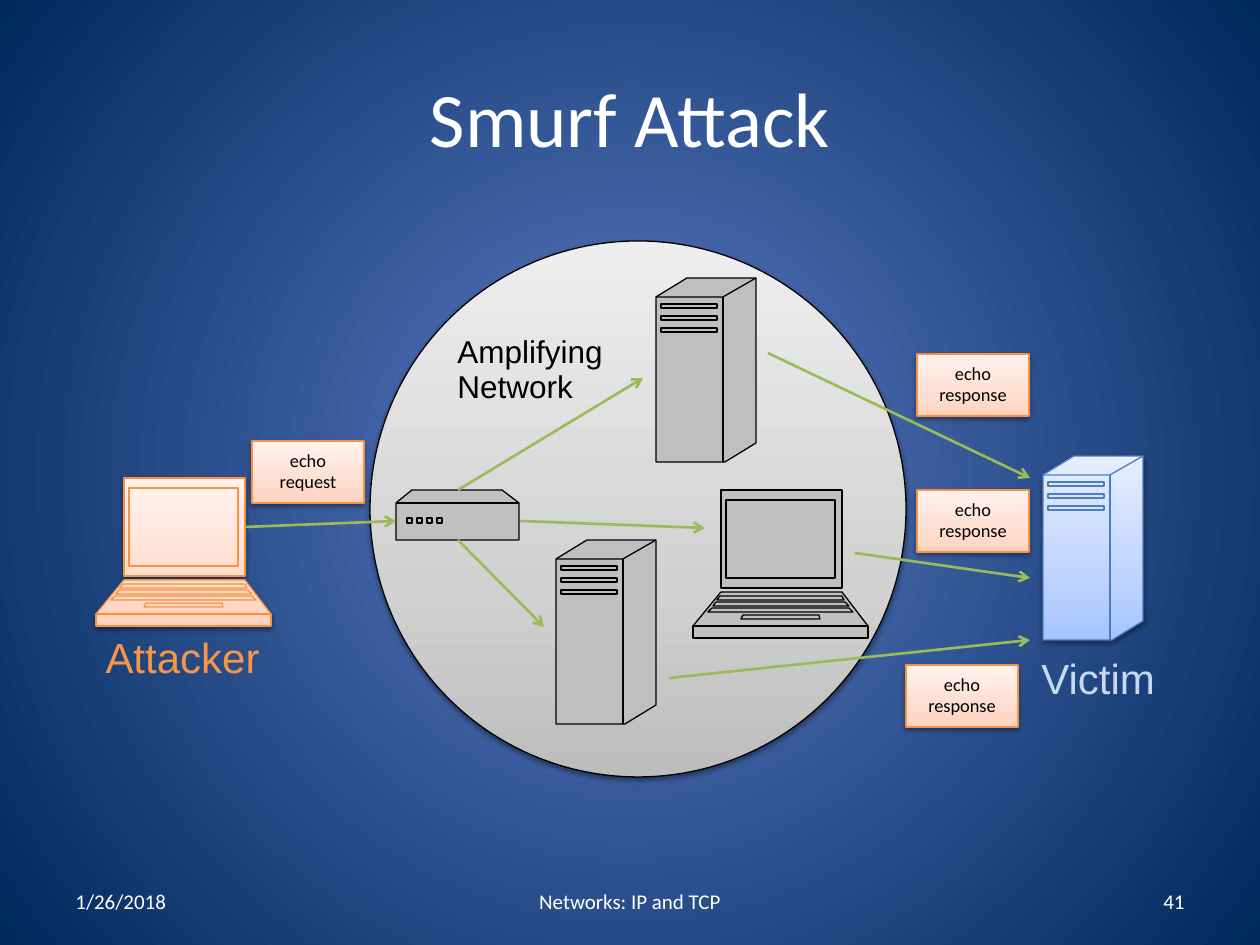
from lxml.etree import SubElement
from pptx import Presentation
from pptx.dml.color import RGBColor
from pptx.enum.shapes import MSO_CONNECTOR, MSO_SHAPE
from pptx.enum.text import MSO_ANCHOR, MSO_AUTO_SIZE, PP_ALIGN
from pptx.oxml.ns import qn
from pptx.util import Pt

PX = 914400 / 126
COLORS = {
    "white": "FFFFFF", "black": "000000", "gray": "C0C0C0", "tower": "BFBFBF",
    "orange": "F69240", "attacker": "F79646", "blue": "4B7EBC",
    "victim": "C6D9F1", "green": "9BBB59",
}
GRADIENTS = {
    "background": [(0, "5E7CC5"), (100, "00295C")],
    "network": [(0, "BDBDBD"), (35, "D1D1D1"), (100, "EEEEEE")],
    "peach": [(0, "FFD2BD"), (35, "FFDED0"), (100, "FFF2ED")],
    "sky": [(0, "A4C4FF"), (35, "BFD4FF"), (100, "E6EEFF")],
}


def emu(*lengths):
    return [round(v * PX) for v in lengths]


def rgb(name):
    return RGBColor.from_string(COLORS[name])


def set_stops(grad, name):
    stops = grad.find(qn("a:gsLst"))
    for gs in list(stops):
        stops.remove(gs)
    for pos, color in GRADIENTS[name]:
        gs = SubElement(stops, qn("a:gs"), pos=str(pos * 1000))
        SubElement(gs, qn("a:srgbClr"), val=color)


def set_background(s):
    s.background.fill.gradient()
    grad = next(s._element.iter(qn("a:gradFill")))
    set_stops(grad, "background")
    grad.remove(grad.find(qn("a:lin")))
    path = SubElement(grad, qn("a:path"))
    path.set("path", "circle")
    SubElement(path, qn("a:fillToRect"), l="50000", t="50000", r="50000", b="50000")


def style(shape, fill, line):
    shape.shadow.inherit = False
    shape.line.color.rgb = rgb(line)
    shape.line.width = Pt(0.75)
    if fill in COLORS:
        shape.fill.solid()
        shape.fill.fore_color.rgb = rgb(fill)
        return
    shape.fill.gradient()
    shape.fill.gradient_angle = 90
    sp_pr = shape._element.spPr
    set_stops(sp_pr.find(qn("a:gradFill")), fill)
    shadow = SubElement(sp_pr.find(qn("a:effectLst")), qn("a:outerShdw"),
                        blurRad=str(Pt(3.1)), dist=str(Pt(1.6)),
                        dir="5400000", rotWithShape="0")
    color = SubElement(shadow, qn("a:srgbClr"), val=COLORS["black"])
    SubElement(color, qn("a:alpha"), val="38000")


def write(tf, lines, size, color, font="Calibri", align=PP_ALIGN.LEFT, spacing=None):
    for i, line in enumerate(lines):
        p = tf.paragraphs[0] if i == 0 else tf.add_paragraph()
        p.alignment = align
        p.line_spacing = spacing
        for j, part in enumerate(line.split("\n")):
            if j:
                p.add_line_break()
            r = p.add_run()
            r.text = part
            r.font.size = Pt(size)
            r.font.name = font
            r.font.color.rgb = rgb(color)


def add_text(s, box, lines, size, color, align=PP_ALIGN.LEFT):
    tf = s.shapes.add_textbox(*emu(*box)).text_frame
    tf.word_wrap = True
    tf.vertical_anchor = MSO_ANCHOR.MIDDLE
    write(tf, lines, size, color, align=align)


def add_label(s, box, lines, size, color, align=PP_ALIGN.LEFT, wrap=False):
    tf = s.shapes.add_textbox(*emu(*box)).text_frame
    tf.word_wrap = wrap
    tf.auto_size = MSO_AUTO_SIZE.SHAPE_TO_FIT_TEXT
    write(tf, lines, size, color, "Arial", align, 0.93)


def add_packet(s, left, top, text):
    sp = s.shapes.add_shape(MSO_SHAPE.RECTANGLE, *emu(left, top, 112, 62))
    style(sp, "peach", "orange")
    tf = sp.text_frame
    tf.word_wrap = True
    tf.vertical_anchor = MSO_ANCHOR.MIDDLE
    write(tf, [text], 10.5, "black", align=PP_ALIGN.CENTER, spacing=0.93)


def add_arrow(s, *ends):
    c = s.shapes.add_connector(MSO_CONNECTOR.STRAIGHT, *emu(*ends))
    c.line.color.rgb = rgb("green")
    c.line.width = Pt(1.5)
    SubElement(c.line._get_or_add_ln(), qn("a:tailEnd"), type="arrow")
    SubElement(c._element.spPr, qn("a:effectLst"))


def box_outline(x1, y1, x2, y2):
    return [(x1, y1), (x2, y1), (x2, y2), (x1, y2)]


def add_device(s, left, top, bodies, outlines, edges, fill, line):
    parts = ([(points, True) for points in bodies + outlines]
             + [(points, False) for points in edges])
    builder = s.shapes.build_freeform(*parts[0][0][0], scale=PX)
    for i, (points, closed) in enumerate(parts):
        if i:
            builder.move_to(*points[0])
        builder.add_line_segments(points[1:], close=closed)
    sp = builder.convert_to_shape(*emu(left, top))
    whole = next(sp._element.iter(qn("a:path")))
    holder = whole.getparent()
    index = -1
    for step in list(whole):
        if step.tag == qn("a:moveTo"):
            index += 1
            part = SubElement(holder, qn("a:path"), w=whole.get("w"), h=whole.get("h"))
            if index >= len(bodies):
                part.set("fill", "none")
        part.append(step)
    holder.remove(whole)
    style(sp, fill, line)


def add_tower(s, left, top, fill, line):
    body = [(0, 19), (31, 0), (100, 0), (100, 165), (69, 184), (0, 184)]
    slots = [box_outline(5, y, 61, y + 4) for y in (26, 38, 50)]
    edges = [[(0, 19), (67, 19), (100, 0)], [(67, 19), (67, 184)]]
    add_device(s, left, top, [body], slots, edges, fill, line)


def add_laptop(s, left, top, fill, line):
    bodies = [
        box_outline(28, 0, 149, 98),
        [(28, 102), (0, 136), (175, 136), (149, 102)],
        box_outline(0, 136, 175, 148),
    ]
    details = [box_outline(33, 10, 142, 88)]
    for x1, x2, x3, x4, y in ((27, 24, 151, 149, 106), (23, 20, 156, 152, 112),
                              (19, 15, 160, 156, 118), (50, 48, 127, 126, 125)):
        details.append([(x1, y), (x2, y + 4), (x3, y + 4), (x4, y)])
    add_device(s, left, top, bodies, details, [], fill, line)


def add_router(s, left, top):
    body = [(0, 13), (16, 0), (106, 0), (123, 13), (123, 50), (0, 50)]
    lights = [box_outline(x, 28, x + 5, 33) for x in range(11, 51, 10)]
    add_device(s, left, top, [body], lights, [[(0, 13), (123, 13)]], "gray", "black")


def main():
    prs = Presentation()
    prs.slide_width, prs.slide_height = emu(1260, 945)
    s = prs.slides.add_slide(prs.slide_layouts[6])
    set_background(s)

    add_text(s, (63, 38, 1134, 157), ["Smurf Attack"], 44, "white", PP_ALIGN.CENTER)
    for left, width, text, align in (
        (63, 294, "1/26/2018", PP_ALIGN.LEFT),
        (430, 400, "Networks: IP and TCP", PP_ALIGN.CENTER),
        (903, 294, "41", PP_ALIGN.RIGHT),
    ):
        add_text(s, (left, 876, width, 50), [text], 12, "white", align)

    network = s.shapes.add_shape(MSO_SHAPE.OVAL, *emu(370, 241, 536, 536))
    style(network, "network", "black")
    add_laptop(s, 96, 478, "peach", "orange")
    add_router(s, 396, 490)
    add_tower(s, 1043, 456, "sky", "blue")
    add_tower(s, 556, 540, "tower", "black")
    add_tower(s, 656, 278, "tower", "black")
    add_laptop(s, 693, 490, "gray", "black")

    for ends in (
        (458, 490, 643, 378), (245, 527, 396, 521), (520, 521, 705, 528),
        (768, 353, 1030, 478), (458, 540, 544, 627), (855, 553, 1030, 578),
        (669, 678, 1030, 640),
    ):
        add_arrow(s, *ends)

    add_label(s, (92, 630, 181, 60), ["Attacker"], 24, "attacker", PP_ALIGN.CENTER)
    add_label(s, (1029, 651, 140, 60), ["Victim"], 24, "victim")
    add_label(s, (445, 329, 261, 100), ["Amplifying", "Network"], 18, "black", wrap=True)

    add_packet(s, 252, 441, "echo\nrequest")
    for left, top in ((917, 354), (906, 665), (917, 490)):
        add_packet(s, left, top, "echo\nresponse")

    prs.save("out.pptx")


main()
